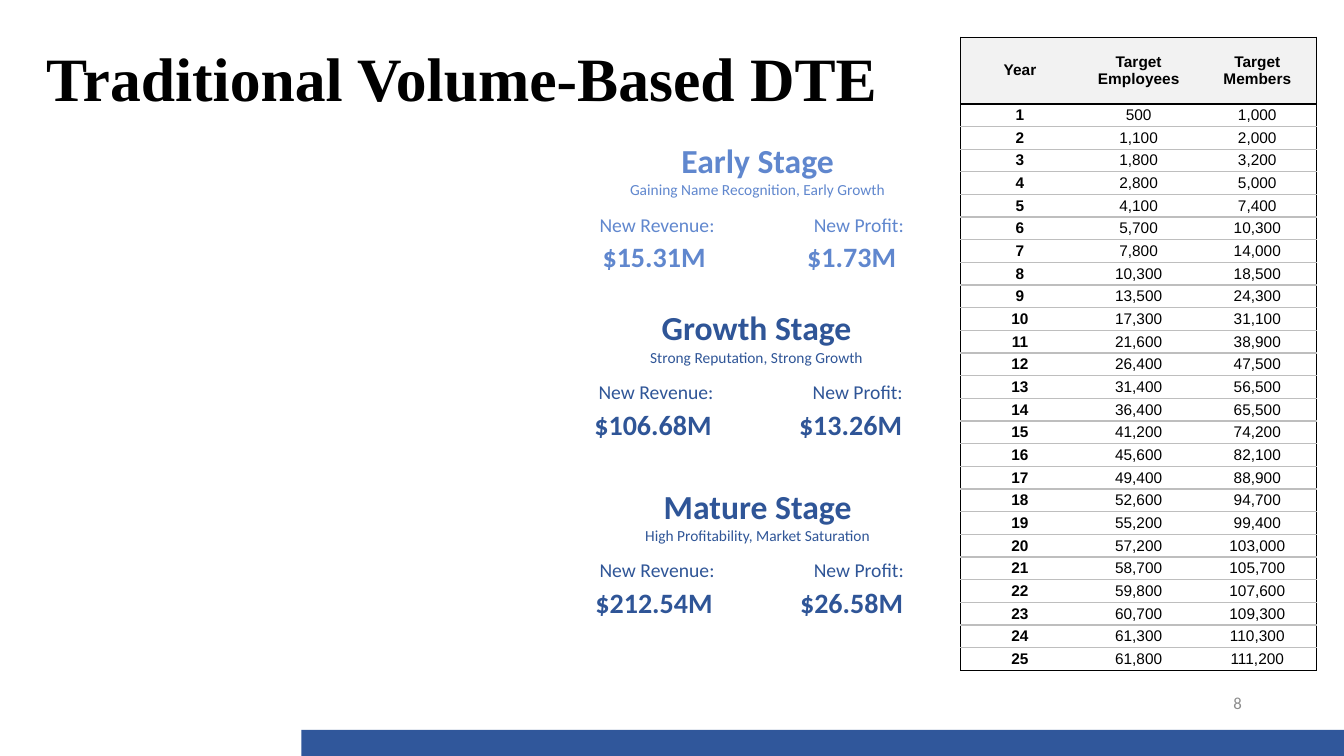
from dataclasses import dataclass

from pptx import Presentation
from pptx import util as u
from pptx.dml.color import RGBColor
from pptx.enum import shapes, text
from pptx.oxml import ns
from lxml import etree

SLIDE_W, SLIDE_H = u.Inches(13.33), u.Inches(7.5)


@dataclass(frozen=True)
class Theme:
    title_font: str = "Times New Roman"
    body_font: str = "Calibri"
    table_font: str = "Arial"
    ink: str = "000000"
    early: str = "6087CE"
    later: str = "2F5597"
    bar: str = "254F96"
    muted: str = "8C8C8C"
    header: str = "F2F2F2"
    rule: str = "BEBEBE"
    title: int = 44
    stage: int = 24
    amount: int = 20
    label: int = 14
    page: int = 12
    small: int = 11


THEME = Theme()

STAGES = [
    ("Early Stage", "Gaining Name Recognition, Early Growth", "$15.31M", "$1.73M", THEME.early, 0, 17.87),
    ("Growth Stage", "Strong Reputation, Strong Growth", "$106.68M", "$13.26M", THEME.later, -0.08, 40),
    ("Mature Stage", "High Profitability, Market Saturation", "$212.54M", "$26.58M", THEME.later, 0, 63.6),
]

HEADINGS = ["Year", "Target\nEmployees", "Target\nMembers"]
EMPLOYEES = [
    500, 1100, 1800, 2800, 4100, 5700, 7800, 10300, 13500, 17300, 21600, 26400, 31400,
    36400, 41200, 45600, 49400, 52600, 55200, 57200, 58700, 59800, 60700, 61300, 61800,
]
MEMBERS = [
    1000, 2000, 3200, 5000, 7400, 10300, 14000, 18500, 24300, 31100, 38900, 47500, 56500,
    65500, 74200, 82100, 88900, 94700, 99400, 103000, 105700, 107600, 109300, 110300, 111200,
]


def across(percent):
    return round(SLIDE_W * percent / 100)


def down(percent):
    return round(SLIDE_H * percent / 100)


def area(left, top, width, height):
    return across(left), down(top), across(width), down(height)


def write(paragraph, words, size, color=THEME.ink, font=THEME.body_font,
          bold=False, align=text.PP_ALIGN.CENTER, spacing=None):
    paragraph.alignment = align
    if spacing:
        paragraph.line_spacing = spacing
    run = paragraph.add_run()
    run.text = words
    run.font.name, run.font.size, run.font.bold = font, u.Pt(size), bold
    run.font.color.rgb = RGBColor.from_string(color)


def add_text(slide, place, words, size, wrap=True, anchor=text.MSO_ANCHOR.TOP, **style):
    frame = slide.shapes.add_textbox(*area(*place)).text_frame
    frame.word_wrap = wrap
    frame.vertical_anchor = anchor
    write(frame.paragraphs[0], words, size, **style)
    return frame


def add_stage(slide, name, summary, revenue, profit, color, shift, top):
    heading = add_text(slide, (45.83 + shift, top, 21.08, 9.2), name, THEME.stage,
                       wrap=False, color=color, bold=True)
    write(heading.add_paragraph(), summary, THEME.small, color=color)
    measures = [
        ("New Revenue:", revenue, 42.22, 13.35, 42.15),
        ("New Profit:", profit, 59.33, 9.15, 56.85),
    ]
    for label, amount, label_left, label_width, amount_left in measures:
        add_text(slide, (label_left + shift, top + 9.6, label_width, 4.53),
                 label, THEME.label, color=color)
        add_text(slide, (amount_left + shift, top + 13.2, 13.05, 5.87),
                 amount, THEME.amount, color=color, bold=True)


def set_borders(cell, **sides):
    properties = cell._tc.get_or_add_tcPr()
    for side in "LRTB":
        color, points = sides.get(side) or (None, 0)
        edge = etree.SubElement(properties, ns.qn(f"a:ln{side}"), w=str(u.Pt(points)))
        if color:
            fill = etree.SubElement(edge, ns.qn("a:solidFill"))
            etree.SubElement(fill, ns.qn("a:srgbClr"), val=color)
        else:
            etree.SubElement(edge, ns.qn("a:noFill"))


def add_targets(slide):
    rows = [HEADINGS] + [
        [str(year), f"{employees:,}", f"{members:,}"]
        for year, (employees, members) in enumerate(zip(EMPLOYEES, MEMBERS), 1)
    ]
    last_row, last_column = len(rows) - 1, len(HEADINGS) - 1
    targets = slide.shapes.add_table(len(rows), len(HEADINGS), *area(71.48, 4.93, 26.49, 83.8)).table
    targets.horz_banding = False
    for column in targets.columns:
        column.width = across(8.83)
    outline, divider, rule = (THEME.ink, 1), (THEME.ink, 2), (THEME.rule, 1)
    edges = [outline, divider] + [rule] * (last_row - 1) + [outline]
    for r, values in enumerate(rows):
        targets.rows[r].height = down(3 if r else 8.8)
        for c, value in enumerate(values):
            cell = targets.cell(r, c)
            cell.margin_left = cell.margin_right = cell.margin_top = cell.margin_bottom = 0
            cell.vertical_anchor = text.MSO_ANCHOR.MIDDLE
            set_borders(cell, L=outline if c == 0 else None,
                        R=outline if c == last_column else None, T=edges[r], B=edges[r + 1])
            if r:
                cell.fill.background()
            else:
                cell.fill.solid()
                cell.fill.fore_color.rgb = RGBColor.from_string(THEME.header)
            for i, line in enumerate(value.split("\n")):
                frame = cell.text_frame
                paragraph = frame.add_paragraph() if i else frame.paragraphs[0]
                write(paragraph, line, THEME.small, font=THEME.table_font, bold=r == 0 or c == 0)


def add_bar(slide):
    bar = slide.shapes.add_shape(shapes.MSO_SHAPE.RECTANGLE, *area(22.42, 96.53, 77.58, 3.47))
    bar.shadow.inherit = False
    bar.line.fill.background()
    bar.fill.solid()
    bar.fill.fore_color.rgb = RGBColor.from_string(THEME.bar)
    tint = bar.fill._xPr.find(ns.qn("a:solidFill"))[0]
    etree.SubElement(tint, ns.qn("a:alpha"), val="95000")


def main():
    deck = Presentation()
    deck.slide_width, deck.slide_height = SLIDE_W, SLIDE_H
    slide = deck.slides.add_slide(deck.slide_layouts[6])
    add_text(slide, (70.65, 91.2, 22.5, 3.6), "8", THEME.page, color=THEME.muted,
             anchor=text.MSO_ANCHOR.MIDDLE, align=text.PP_ALIGN.RIGHT)
    add_targets(slide)
    for stage in STAGES:
        add_stage(slide, *stage)
    add_text(slide, (2.7, 1.07, 86.25, 19.33), "Traditional Volume-Based DTE", THEME.title,
             font=THEME.title_font, bold=True, anchor=text.MSO_ANCHOR.MIDDLE,
             align=text.PP_ALIGN.LEFT, spacing=0.9)
    add_bar(slide)
    deck.save("out.pptx")


if __name__ == "__main__":
    main()
